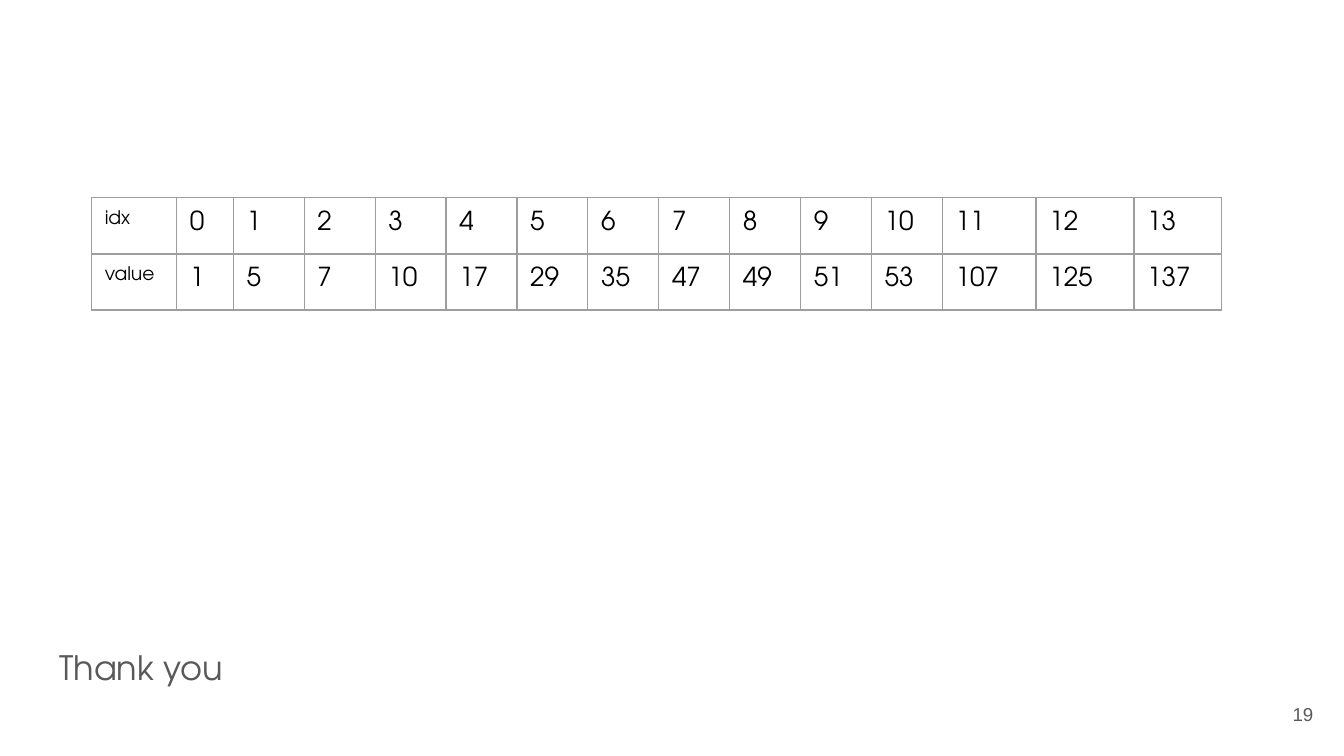
from lxml import etree
from pptx import Presentation
from pptx import util as u
from pptx.dml.color import RGBColor
from pptx.enum import text
from pptx.oxml import ns

BLACK = RGBColor(0x00, 0x00, 0x00)
GREY = RGBColor(0x59, 0x59, 0x59)
BORDER = RGBColor(0x9E, 0x9E, 0x9E)
HEADING_FONT = "TeX Gyre Adventor"
INSET = u.Cm(0.25)


def write(frame, words, size, font=HEADING_FONT, color=BLACK, align=text.PP_ALIGN.LEFT):
    """Put one formatted paragraph into a text frame and return it."""
    para = frame.paragraphs[0]
    para.alignment = align
    para.space_before = u.Pt(0)
    span = para.add_run()
    span.text = words
    span.font.size = u.Pt(size)
    span.font.name = font
    span.font.color.rgb = color
    return para


def add_borders(cell):
    """Draw a thin line on all four sides of a table cell."""
    properties = cell._tc.get_or_add_tcPr()
    for side in ("a:lnL", "a:lnR", "a:lnT", "a:lnB"):
        line = etree.SubElement(properties, ns.qn(side), w=str(u.Pt(0.75)))
        fill = etree.SubElement(line, ns.qn("a:solidFill"))
        etree.SubElement(fill, ns.qn("a:srgbClr"), val=str(BORDER))


deck = Presentation()
deck.slide_width, deck.slide_height = u.Cm(25.4), u.Cm(14.29)
page = deck.slides.add_slide(deck.slide_layouts[1])

# Closing line in the body placeholder, without a bullet
title = page.shapes.title
title._element.getparent().remove(title._element)
closing = page.placeholders[1]
closing.left, closing.top = u.Cm(0.87), u.Cm(11.76)
closing.width, closing.height = u.Cm(16.66), u.Cm(1.68)
para = write(closing.text_frame, "Thank you", 18, color=GREY)
para_properties = para._p.get_or_add_pPr()
para_properties.set("marL", "0")
para_properties.set("indent", "0")
etree.SubElement(para_properties, ns.qn("a:buNone"))

# Page number
number = page.shapes.add_textbox(u.Cm(23.55), u.Cm(12.95), u.Cm(1.52), u.Cm(1.09))
write(number.text_frame, "19", 10, font="Arial", color=GREY, align=text.PP_ALIGN.RIGHT)

for box in (closing, number):
    frame = box.text_frame
    frame.word_wrap = True
    frame.auto_size = text.MSO_AUTO_SIZE.NONE
    frame.vertical_anchor = text.MSO_ANCHOR.MIDDLE
    frame.margin_left = frame.margin_right = INSET
    frame.margin_top = frame.margin_bottom = INSET

# Table of indices and values
values = [1, 5, 7, 10, 17, 29, 35, 47, 49, 51, 53, 107, 125, 137]
rows = [["idx", *range(len(values))], ["value", *values]]
widths = [1.61, 1.07] + [1.34] * 10 + [1.77, 1.85, 1.65]
row_height = 1.06

table = page.shapes.add_table(
    len(rows), len(widths), u.Cm(1.73), u.Cm(3.74),
    u.Cm(sum(widths)), u.Cm(row_height * len(rows)),
).table
table.first_row = table.horz_banding = False
for column, width in zip(table.columns, widths):
    column.width = u.Cm(width)

for r, row in enumerate(rows):
    table.rows[r].height = u.Cm(row_height)
    for c, entry in enumerate(row):
        cell = table.cell(r, c)
        cell.margin_left = cell.margin_right = INSET
        cell.margin_top = cell.margin_bottom = INSET
        add_borders(cell)
        cell.fill.background()
        write(cell.text_frame, str(entry), 10 if c == 0 else 14)

deck.save("out.pptx")
